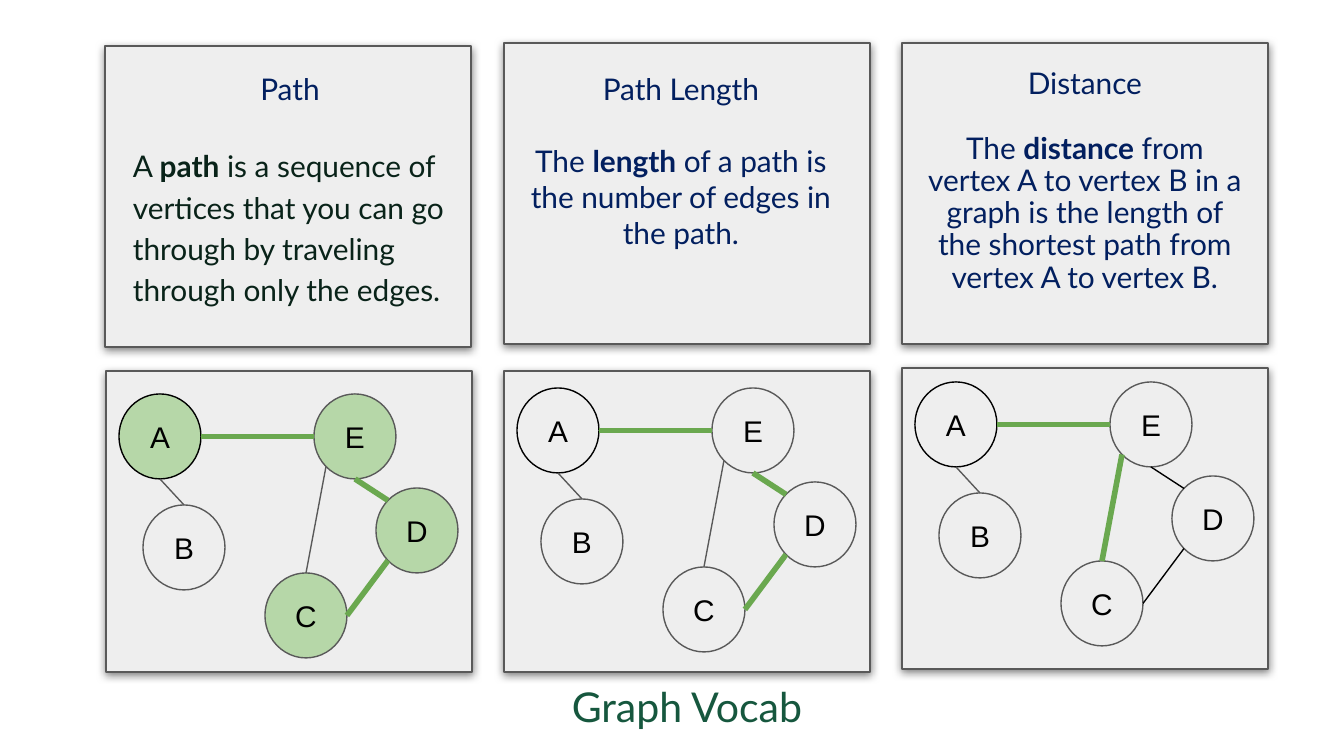
"""Build a slide of three graph terms, each with a definition and an example graph."""
from dataclasses import dataclass
from math import cos, pi, sin

from lxml import etree
from pptx import Presentation
from pptx import util as u
from pptx.dml.color import RGBColor
from pptx.enum import shapes, text
from pptx.oxml.ns import qn


@dataclass(frozen=True)
class Theme:
    card: str = "EEEEEE"
    outline: str = "595959"
    black: str = "000000"
    visited: str = "B6D7A8"
    route: str = "6AA84F"
    title: str = "16573E"
    navy: str = "021F5F"
    ink: str = "092319"
    text_font: str = "Lato"
    node_font: str = "Arial"
    title_size: int = 22
    body_size: int = 16
    thin: float = 0.75
    thick: float = 3


THEME = Theme()
THIN = (THEME.outline, THEME.thin)
DARK = (THEME.black, THEME.thin)
ROUTE = (THEME.route, THEME.thick)
LEFT, CENTER = text.PP_ALIGN.LEFT, text.PP_ALIGN.CENTER

TITLE = "Graph Vocab"
TITLE_BOX = (15, 659, 1344, 85)
CARD_SIZE = (366, 301)
TEXT_SIZE = (340, 275)
NODE_SIZE = (82, 85)
INSET = 13

TERMS = [
    {"name": "Path", "card": (105, 46), "text": (120, 58),
     "body": ("A ", "path", " is a sequence of vertices that you can go through by traveling "
              "through only the edges."),
     "color": THEME.ink, "align": LEFT, "spacing": (None, 1.15), "gap": 19.2,
     "example": (106, 371), "graph": (119, 394), "visited": "ACDE",
     "edges": (ROUTE, ROUTE, THIN, ROUTE, THIN)},
    {"name": "Path Length", "card": (504, 43), "text": (511, 58),
     "body": ("The ", "length", " of a path is the number of edges in the path."),
     "color": THEME.navy, "align": CENTER, "spacing": (None, None), "gap": 19.2,
     "example": (504, 371), "graph": (517, 388), "visited": "",
     "edges": (ROUTE, ROUTE, THIN, ROUTE, THIN)},
    {"name": "Distance", "card": (902, 43), "text": (915, 56),
     "body": ("The ", "distance", " from vertex A to vertex B in a graph is the length of the "
              "shortest path from vertex A to vertex B."),
     "color": THEME.navy, "align": CENTER, "spacing": (0.9, 0.9), "gap": 17.3,
     "example": (902, 368), "graph": (915, 382), "visited": "",
     "edges": (ROUTE, DARK, ROUTE, DARK, THIN)},
]

NODES = {"A": (0, 0), "B": (24, 111), "C": (146, 179), "D": (257, 94), "E": (195, 0)}
EDGES = [("A", 6, "E", 2), ("E", 4, "D", 1), ("E", 3, "C", 0), ("C", 6, "D", 3), ("A", 4, "B", 0)]


def px(*lengths):
    return [u.Emu(round(length * u.Inches(10) / 1344)) for length in lengths]


def style_line(line, color, width):
    line.color.rgb = RGBColor.from_string(color)
    line.width = u.Pt(width)


def style_font(font, name, size, color):
    font.name = name
    font.size = u.Pt(size)
    font.color.rgb = RGBColor.from_string(color)


def set_frame(frame, anchor):
    frame.word_wrap = True
    frame.vertical_anchor = anchor
    inset, = px(INSET)
    frame.margin_left = frame.margin_right = frame.margin_top = frame.margin_bottom = inset


def add_shape(page, kind, position, size, fill, line):
    shape = page.shapes.add_shape(kind, *px(*position, *size))
    shape.shadow.inherit = False
    if fill:
        shape.fill.solid()
        shape.fill.fore_color.rgb = RGBColor.from_string(fill)
    else:
        shape.fill.background()
    style_line(shape.line, *line)
    return shape


def add_card(page, position):
    card = add_shape(page, shapes.MSO_SHAPE.RECTANGLE, position, CARD_SIZE, THEME.card, THIN)
    effects = card._element.spPr.find(qn("a:effectLst"))
    shadow = etree.SubElement(effects, qn("a:outerShdw"), blurRad=str(u.Pt(4.5)),
                              dist=str(u.Pt(1.5)), dir="5400000", algn="bl", rotWithShape="0")
    color = etree.SubElement(shadow, qn("a:srgbClr"), val=THEME.black)
    etree.SubElement(color, qn("a:alpha"), val="50000")


def add_title(page):
    frame = page.shapes.add_textbox(*px(*TITLE_BOX)).text_frame
    set_frame(frame, text.MSO_ANCHOR.BOTTOM)
    para = frame.paragraphs[0]
    para.text = TITLE
    para.alignment = CENTER
    style_font(para.font, THEME.text_font, THEME.title_size, THEME.title)


def add_definition(page, term):
    frame = page.shapes.add_textbox(*px(*term["text"], *TEXT_SIZE)).text_frame
    set_frame(frame, text.MSO_ANCHOR.TOP)
    heading, body = frame.paragraphs[0], frame.add_paragraph()
    heading.text = term["name"]
    heading.alignment, body.alignment = CENTER, term["align"]
    heading.line_spacing, body.line_spacing = term["spacing"]
    heading.space_after = u.Pt(term["gap"])
    style_font(heading.font, THEME.text_font, THEME.body_size, THEME.navy)
    style_font(body.font, THEME.text_font, THEME.body_size, term["color"])
    for index, words in enumerate(term["body"]):
        span = body.add_run()
        span.text = words
        if index == 1:
            span.font.bold = True


def add_node(page, name, position, visited):
    fill = THEME.visited if name in visited else THEME.card if name == "B" else None
    line = DARK if name == "A" else THIN
    node = add_shape(page, shapes.MSO_SHAPE.OVAL, position, NODE_SIZE, fill, line)
    set_frame(node.text_frame, text.MSO_ANCHOR.MIDDLE)
    para = node.text_frame.paragraphs[0]
    para.text = name
    para.alignment = CENTER
    style_font(para.font, THEME.node_font, THEME.body_size, THEME.black)


def rim_point(position, site):
    """Return the point on a node's rim, counting eighths anticlockwise from the top."""
    (left, top), (width, height) = position, NODE_SIZE
    angle = site * pi / 4
    return left + width / 2 * (1 - sin(angle)), top + height / 2 * (1 - cos(angle))


def add_graph(page, term):
    left, top = term["graph"]
    places = {name: (left + x, top + y) for name, (x, y) in NODES.items()}
    for name, position in places.items():
        add_node(page, name, position, term["visited"])
    for (start, start_site, end, end_site), line in zip(EDGES, term["edges"]):
        ends = rim_point(places[start], start_site) + rim_point(places[end], end_site)
        edge = page.shapes.add_connector(shapes.MSO_CONNECTOR.STRAIGHT, *px(*ends))
        style_line(edge.line, *line)
        etree.SubElement(edge._element.spPr, qn("a:effectLst"))


def main():
    deck = Presentation()
    deck.slide_width, deck.slide_height = px(1344, 756)
    page = deck.slides.add_slide(deck.slide_layouts[6])
    for term in TERMS:
        add_card(page, term["card"])
        add_card(page, term["example"])
    add_title(page)
    for term in TERMS:
        add_definition(page, term)
        add_graph(page, term)
    deck.save("out.pptx")


if __name__ == "__main__":
    main()
